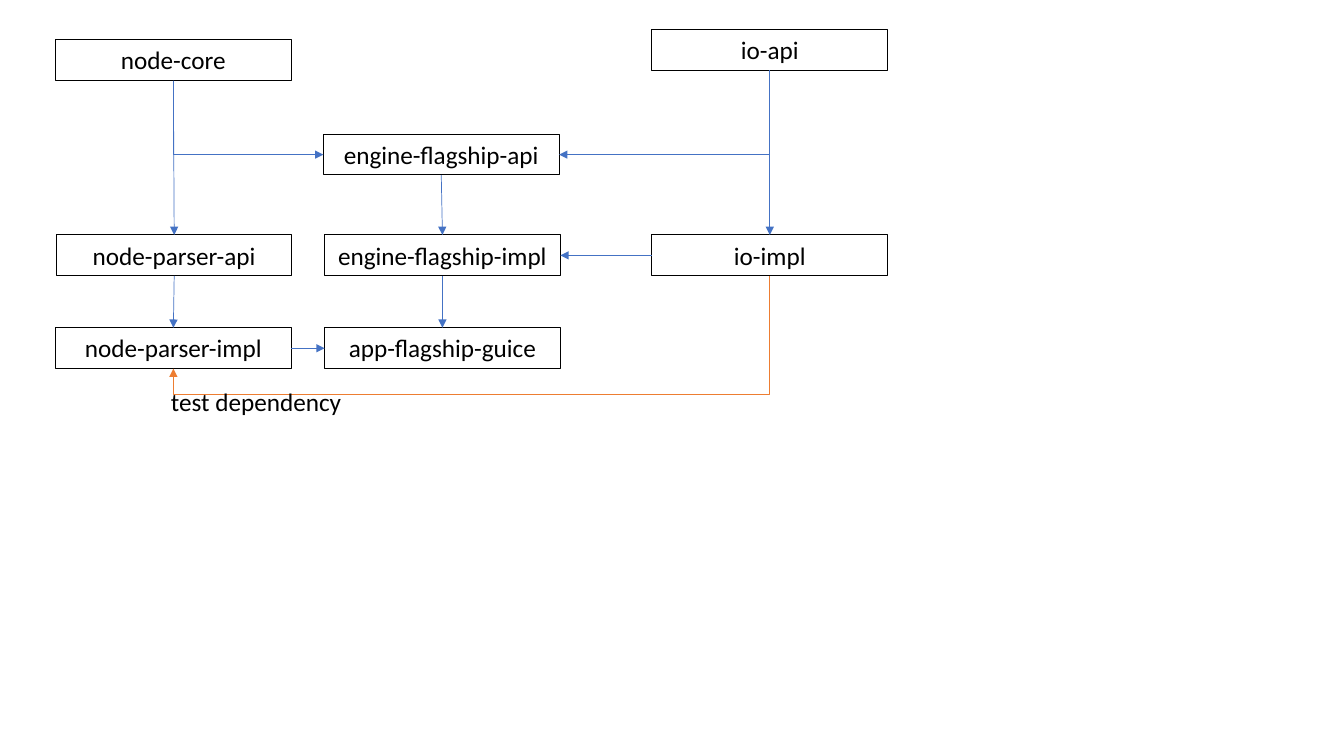
from pptx import Presentation as Deck
from pptx.dml.color import RGBColor as Rgb
from pptx.enum.shapes import MSO_CONNECTOR as Link, MSO_SHAPE as Form
from pptx.enum.text import MSO_ANCHOR as Anchor, MSO_AUTO_SIZE as Fit, PP_ALIGN as Align
from pptx.oxml.ns import qn
from pptx.oxml.xmlchemy import OxmlElement as Node
from pptx.util import Cm, Pt

HUES = {"ink": "000000", "blue": "4472C4", "orange": "ED7D31"}
TOP, LEFT, BASE, RIGHT = range(4)
WIDE, HIGH = 5.94, 1.03


def hue(name):
    return Rgb.from_string(HUES[name])


def write(frame, text, size=18, font="Calibri", color="ink", align=Align.LEFT, wrap=True):
    frame.word_wrap = wrap
    frame.auto_size = Fit.SHAPE_TO_FIT_TEXT
    para = frame.paragraphs[0]
    para.alignment = align
    run = para.add_run()
    run.text = text
    run.font.size, run.font.name = Pt(size), font
    run.font.color.rgb = hue(color)


class Chart:
    def __init__(self, slide, edge=0.75, wire=0.5):
        self.shapes = slide.shapes
        self.edge, self.wire = Pt(edge), Pt(wire)

    def box(self, text, x, y):
        box = self.shapes.add_shape(Form.RECTANGLE, Cm(x), Cm(y), Cm(WIDE), Cm(HIGH))
        box.shadow.inherit = False
        box.fill.background()
        box.line.color.rgb, box.line.width = hue("ink"), self.edge
        box.text_frame.vertical_anchor = Anchor.TOP
        write(box.text_frame, text, align=Align.CENTER)
        return box

    def label(self, text, x, y, wide):
        area = self.shapes.add_textbox(Cm(x), Cm(y), Cm(wide), Cm(HIGH))
        write(area.text_frame, text, wrap=False)

    def arrow(self, start, out, end, into, color="blue", kind=Link.STRAIGHT):
        line = self.shapes.add_connector(kind, 0, 0, 0, 0)
        line.begin_connect(start, out)
        line.end_connect(end, into)
        line.line.color.rgb, line.line.width = hue(color), self.wire
        head = Node("a:tailEnd")
        head.set("type", "triangle")
        props = line._element.spPr
        props.find(qn("a:ln")).append(head)
        props.append(Node("a:effectLst"))
        return line

    def bend(self, start, end, into, color="blue", dip=None):
        line = self.arrow(start, BASE, end, into, color, Link.ELBOW)
        x, y = line.begin_x, line.begin_y
        dx, dy = line.end_x - x, line.end_y - y
        wide, high = abs(dy), abs(dx)
        line.left, line.top = x + (dx - wide) // 2, y + (dy - high) // 2
        line.width, line.height = wide, high
        props = line._element.spPr
        turn = props.find(qn("a:xfrm"))
        for flip in ("flipH", "flipV"):
            turn.attrib.pop(flip, None)
        turn.set("rot", str((90 if dx < 0 else 270) * 60000))
        if dx > 0:
            turn.set("flipH", "1")
        geom = props.find(qn("a:prstGeom"))
        geom.set("prst", "bentConnector3" if dip else "bentConnector2")
        if dip:
            guide = Node("a:gd")
            guide.set("name", "adj1")
            guide.set("fmla", f"val {round((1 + Cm(dip) / wide) * 100000)}")
            geom.find(qn("a:avLst")).append(guide)


deck = Deck()
deck.slide_width, deck.slide_height = Cm(33.87), Cm(19.05)
chart = Chart(deck.slides.add_slide(deck.slide_layouts[6]))

spots = {
    "engine-flagship-impl": (8.18, 5.92),
    "engine-flagship-api": (8.15, 3.38),
    "io-api": (16.43, 0.74),
    "io-impl": (16.43, 5.92),
    "node-core": (1.4, 1),
    "node-parser-api": (1.42, 5.92),
    "node-parser-impl": (1.4, 8.26),
    "app-flagship-guice": (8.18, 8.26),
}
mods = {name: chart.box(name, *spot) for name, spot in spots.items()}

for start, end in (
    ("io-api", "io-impl"),
    ("engine-flagship-impl", "app-flagship-guice"),
    ("engine-flagship-api", "engine-flagship-impl"),
    ("node-core", "node-parser-api"),
    ("node-parser-api", "node-parser-impl"),
):
    chart.arrow(mods[start], BASE, mods[end], TOP)

chart.arrow(mods["io-impl"], LEFT, mods["engine-flagship-impl"], RIGHT)
chart.arrow(mods["node-parser-impl"], RIGHT, mods["app-flagship-guice"], LEFT)
chart.bend(mods["node-core"], mods["engine-flagship-api"], LEFT)
chart.bend(mods["io-api"], mods["engine-flagship-api"], RIGHT)
chart.bend(mods["io-impl"], mods["node-parser-impl"], BASE, color="orange", dip=0.64)
chart.label("test dependency", 4.06, 9.6, 4.85)

deck.save("out.pptx")
